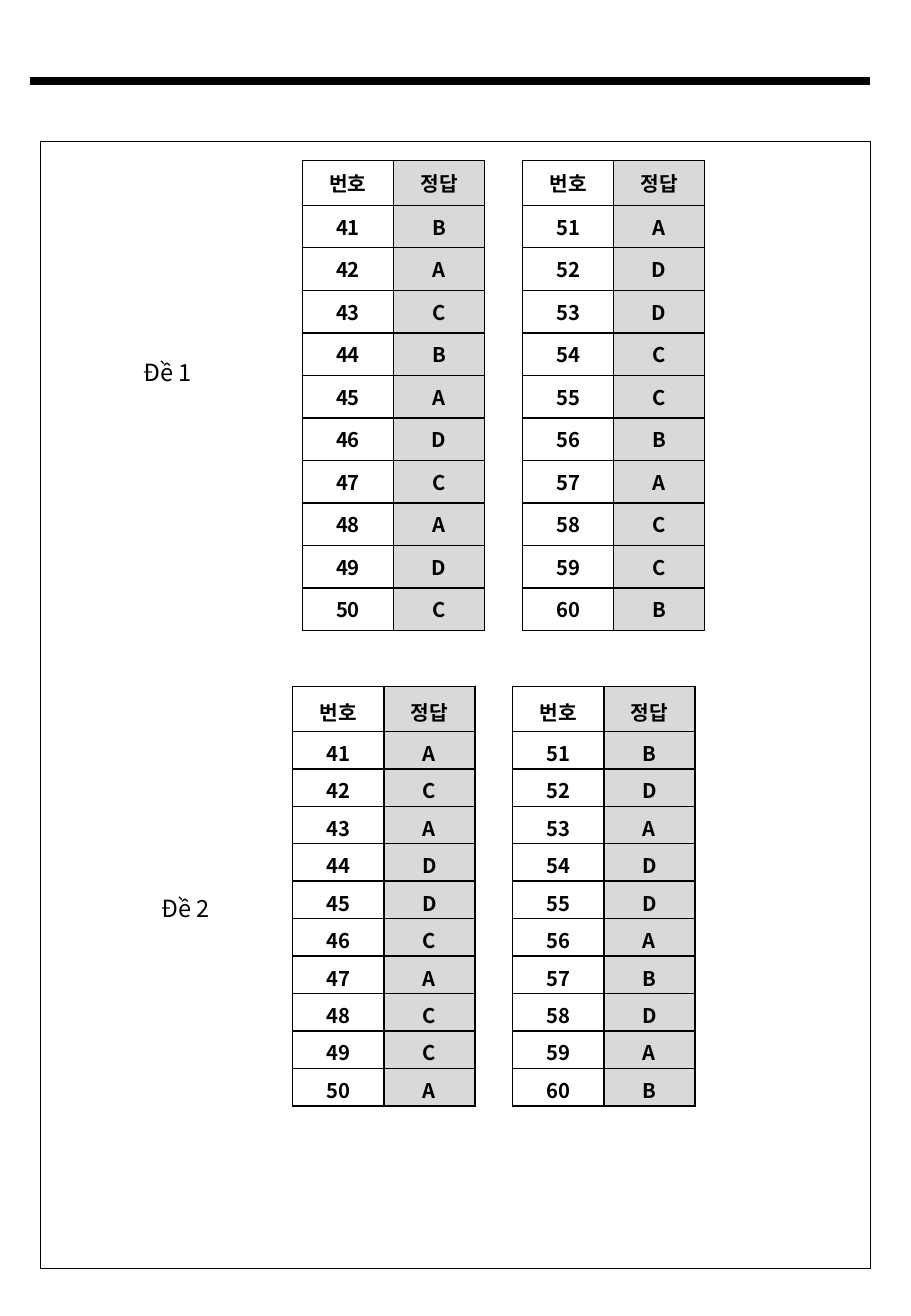
from dataclasses import dataclass

from lxml.etree import SubElement
from pptx import Presentation
from pptx.dml.color import RGBColor
from pptx.enum.shapes import MSO_CONNECTOR, MSO_SHAPE
from pptx.enum.text import MSO_ANCHOR, MSO_AUTO_SIZE, PP_ALIGN
from pptx.oxml.ns import qn
from pptx.util import Pt

HEADERS = ("번호", "정답")
FIRST_NUMBERS = (41, 51)
EXAMS = [
    {
        "label": "Đề 1",
        "label_at": (77.8, 208.8),
        "tables_at": (179.3, 95),
        "row_height": 25.2,
        "bottom_margin": 3.6,
        "answers": ("BACBADCADC", "ADDCCBACCB"),
    },
    {
        "label": "Đề 2",
        "label_at": (88.6, 526.3),
        "tables_at": (173.5, 406.8),
        "row_height": 22.2,
        "bottom_margin": 0.7,
        "answers": ("ACADDCACCA", "BDADDABDAB"),
    },
]


@dataclass(frozen=True)
class Theme:
    font: str = "Noto Sans CJK KR"
    black: RGBColor = RGBColor(0, 0, 0)
    answer_fill: RGBColor = RGBColor(0xD9, 0xD9, 0xD9)
    label_size: int = 14
    table_size: int = 12
    border: float = 1
    frame: float = 0.75
    rule: float = 4.5


THEME = Theme()
COLUMN_WIDTH = 54
HEADER_HEIGHT = 26.7
TABLE_STEP = 130.4


def style_paragraph(paragraph, size, bold=False):
    font = paragraph.font
    font.name = THEME.font
    font.size = Pt(size)
    font.bold = bold
    font.color.rgb = THEME.black
    defaults = paragraph._p.pPr.find(qn("a:defRPr"))
    SubElement(defaults, qn("a:ea"), typeface=THEME.font)


def add_borders(cell):
    properties = cell._tc.get_or_add_tcPr()
    for side in ("lnL", "lnR", "lnT", "lnB"):
        line = SubElement(properties, qn(f"a:{side}"), w=str(Pt(THEME.border)))
        fill = SubElement(line, qn("a:solidFill"))
        SubElement(fill, qn("a:srgbClr"), val=str(THEME.black))


def format_cell(cell, text, is_answer, bottom_margin):
    cell.text = text
    cell.vertical_anchor = MSO_ANCHOR.MIDDLE
    cell.margin_left = cell.margin_right = Pt(7.2)
    cell.margin_top = Pt(3.6)
    cell.margin_bottom = Pt(bottom_margin)
    add_borders(cell)
    if is_answer:
        cell.fill.solid()
        cell.fill.fore_color.rgb = THEME.answer_fill
    else:
        cell.fill.background()
    paragraph = cell.text_frame.paragraphs[0]
    paragraph.alignment = PP_ALIGN.CENTER
    style_paragraph(paragraph, THEME.table_size, bold=True)


def add_answer_table(slide, left, top, first_number, answers, row_height, bottom_margin):
    rows = [HEADERS] + [(str(number), answer) for number, answer in enumerate(answers, first_number)]
    heights = [HEADER_HEIGHT] + [row_height] * len(answers)
    table = slide.shapes.add_table(
        len(rows), len(HEADERS), Pt(left), Pt(top), Pt(COLUMN_WIDTH * len(HEADERS)), Pt(sum(heights))
    ).table
    table.first_row = False
    table.horz_banding = False
    for column in table.columns:
        column.width = Pt(COLUMN_WIDTH)
    for row_index, (values, height) in enumerate(zip(rows, heights)):
        table.rows[row_index].height = Pt(height)
        for column_index, text in enumerate(values):
            format_cell(table.cell(row_index, column_index), text, column_index == 1, bottom_margin)


def add_label(slide, text, left, top):
    text_frame = slide.shapes.add_textbox(Pt(left), Pt(top), Pt(46.8), Pt(24.5)).text_frame
    text_frame.word_wrap = False
    text_frame.auto_size = MSO_AUTO_SIZE.SHAPE_TO_FIT_TEXT
    text_frame.text = text
    style_paragraph(text_frame.paragraphs[0], THEME.label_size)


def add_page_frame(slide):
    rule = slide.shapes.add_connector(MSO_CONNECTOR.STRAIGHT, Pt(18), Pt(48), Pt(516), Pt(48))
    rule.line.color.rgb = THEME.black
    rule.line.width = Pt(THEME.rule)
    SubElement(rule._element.spPr, qn("a:effectLst"))
    frame = slide.shapes.add_shape(MSO_SHAPE.RECTANGLE, Pt(24), Pt(84), Pt(492), Pt(668))
    frame.shadow.inherit = False
    frame.fill.background()
    frame.line.color.rgb = THEME.black
    frame.line.width = Pt(THEME.frame)


def main():
    presentation = Presentation()
    presentation.slide_width = Pt(540)
    presentation.slide_height = Pt(780)
    slide = presentation.slides.add_slide(presentation.slide_layouts[6])
    add_page_frame(slide)
    for exam in EXAMS:
        add_label(slide, exam["label"], *exam["label_at"])
        left, top = exam["tables_at"]
        for index, (first_number, answers) in enumerate(zip(FIRST_NUMBERS, exam["answers"])):
            add_answer_table(
                slide, left + index * TABLE_STEP, top, first_number, answers,
                exam["row_height"], exam["bottom_margin"],
            )
    presentation.save("out.pptx")


if __name__ == "__main__":
    main()
